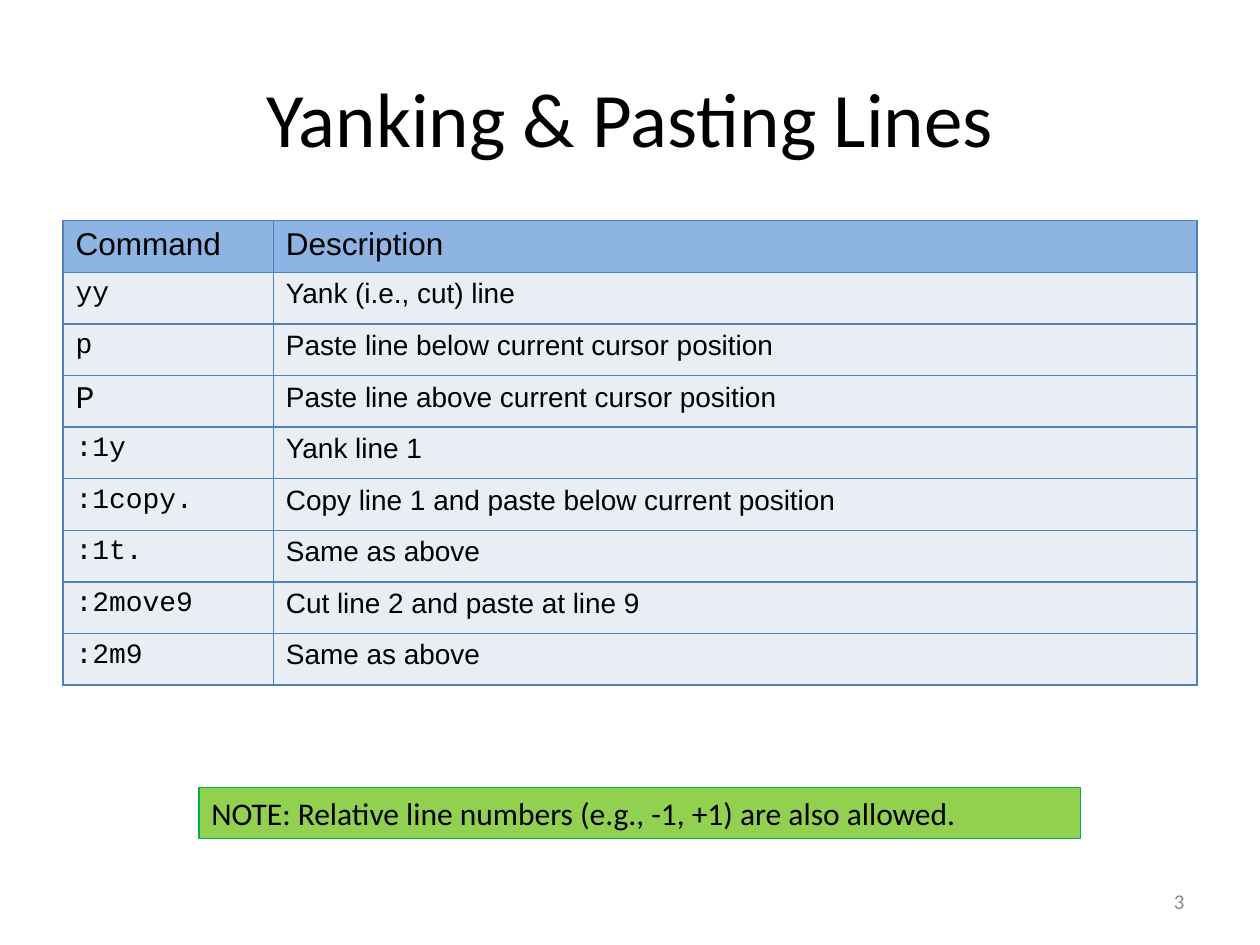
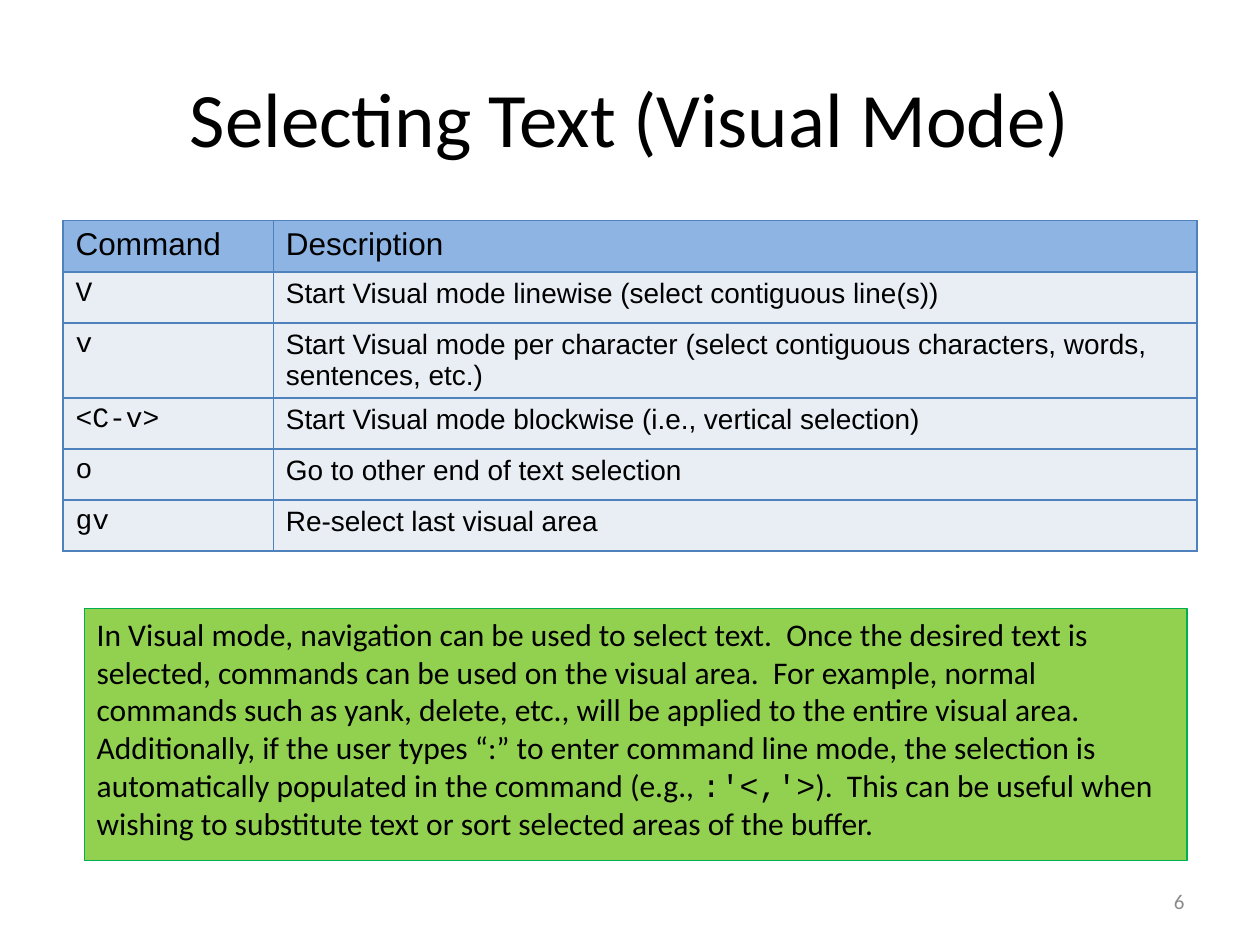
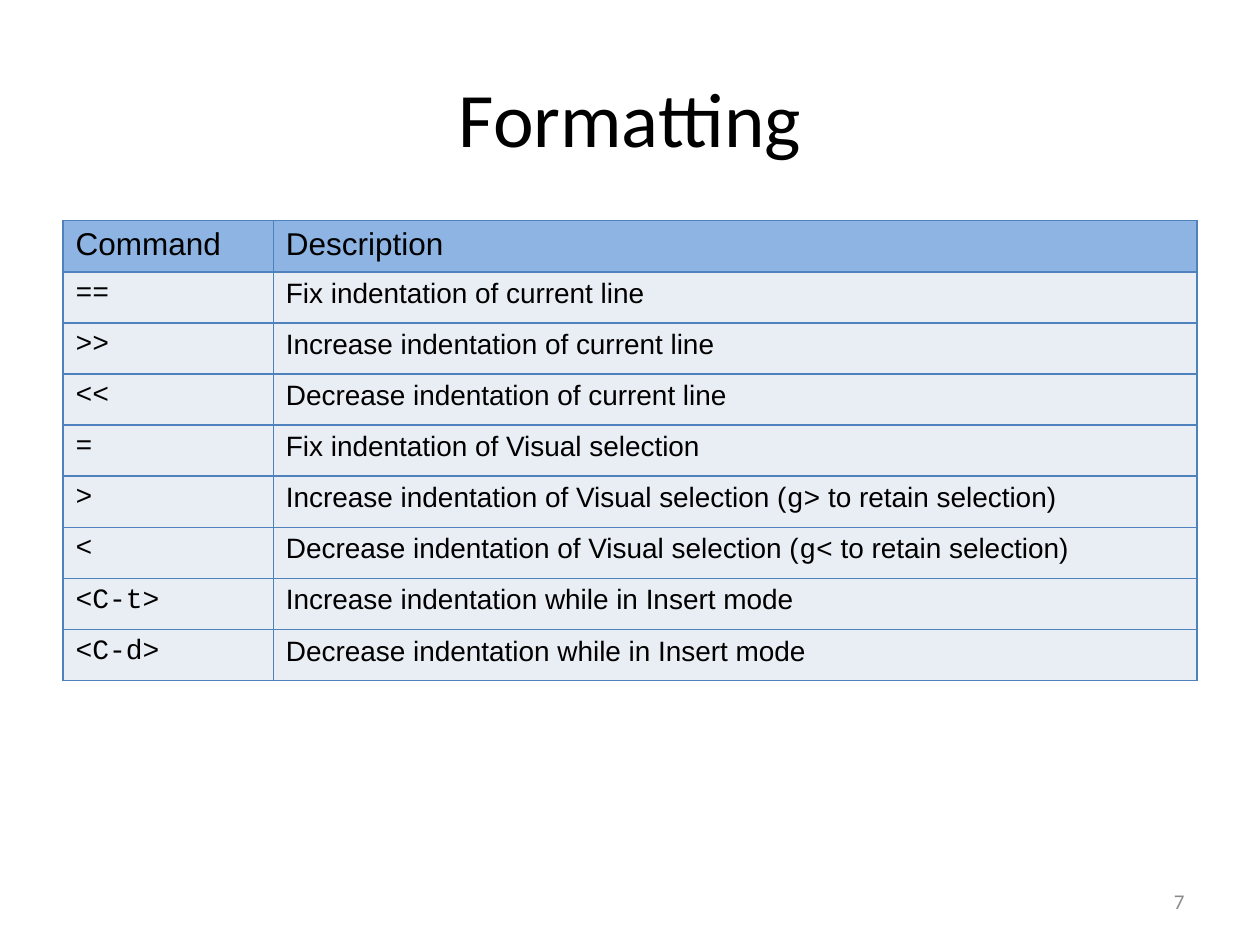
from lxml.etree import SubElement
from pptx import Presentation
from pptx.dml.color import RGBColor
from pptx.enum.shapes import MSO_SHAPE as Shape
from pptx.enum.text import MSO_ANCHOR as Anchor, PP_ALIGN as Align
from pptx.oxml.ns import qn
from pptx.util import Cm, Pt

INK, GREY, EDGE = "000000", "8B8B8B", "4F81BD"
HEAD, BODY = "8EB4E3", "E9EDF4"
LIME, GREEN = "92D050", "00B050"
SANS, TEXT, MONO = "Calibri", "Arial", "Courier New"

TITLE_BOX = (1.27, 0.76, 22.86, 3.18)
PAGE_BOX = (18.21, 17.65, 5.92, 1.02)
TABLE_AT = (1.27, 4.45)
COLS = (4.24, 18.62)

PAGES = [
    {
        "title": "Yanking & Pasting Lines",
        "page": 3,
        "step": 1.04,
        "rows": [
            ("yy", "Yank (i.e., cut) line"),
            ("p", "Paste line below current cursor position"),
            ("P", "Paste line above current cursor position", 18),
            (":1y", "Yank line 1"),
            (":1copy.", "Copy line 1 and paste below current position"),
            (":1t.", "Same as above"),
            (":2move9", "Cut line 2 and paste at line 9"),
            (":2m9", "Same as above"),
        ],
        "note": (
            (4.01, 15.88, 17.78, 1.02),
            "NOTE: Relative line numbers (e.g., -1, +1) are also allowed.",
        ),
    },
    {
        "title": "Selecting Text (Visual Mode)",
        "page": 6,
        "step": 1.03,
        "rows": [
            ("V", "Start Visual mode linewise (select contiguous line(s))"),
            ("v", "Start Visual mode per character (select contiguous "
                  "characters, words, sentences, etc.)"),
            ("<C-v>", "Start Visual mode blockwise (i.e., vertical selection)"),
            ("o", "Go to other end of text selection"),
            ("gv", "Re-select last visual area"),
        ],
        "note": (
            (1.7, 12.27, 22.23, 5.08),
            "In Visual mode, navigation can be used to select text.  Once the "
            "desired text is selected, commands can be used on the visual "
            "area.  For example, normal commands such as yank, delete, etc., "
            "will be applied to the entire visual area.  Additionally, if the "
            "user types “:” to enter command line mode, the selection is "
            "automatically populated in the command (e.g., `:'<,'>`).  This "
            "can be useful when wishing to substitute text or sort selected "
            "areas of the buffer.",
        ),
    },
    {
        "title": "Formatting",
        "page": 7,
        "step": 1.03,
        "rows": [
            ("==", "Fix indentation of current line"),
            (">>", "Increase indentation of current line"),
            ("<<", "Decrease indentation of current line"),
            ("=", "Fix indentation of Visual selection"),
            (">", "Increase indentation of Visual selection (`g>` to retain selection)"),
            ("<", "Decrease indentation of Visual selection (`g<` to retain selection)"),
            ("<C-t>", "Increase indentation while in Insert mode"),
            ("<C-d>", "Decrease indentation while in Insert mode"),
        ],
    },
]


def tint(color, shade):
    color.rgb = RGBColor.from_string(shade)


def paint(fill, shade):
    fill.solid()
    tint(fill.fore_color, shade)


def lengths(box):
    return [Cm(side) for side in box]


def write(frame, text, size, face=SANS, shade=INK, align=Align.LEFT, anchor=Anchor.TOP):
    for name, value in {"word_wrap": True, "vertical_anchor": anchor}.items():
        setattr(frame, name, value)
    para = frame.paragraphs[0]
    para.alignment = align
    for spot, part in enumerate(text.split("`")):
        if part:
            run = para.add_run()
            run.text = part
            look = {"size": Pt(size), "name": MONO if spot % 2 else face}
            for name, value in look.items():
                setattr(run.font, name, value)
            tint(run.font.color, shade)


def add_title(slide, box, text):
    title = slide.shapes.title
    for name, value in zip(("left", "top", "width", "height"), lengths(box)):
        setattr(title, name, value)
    write(title.text_frame, text, 44, align=Align.CENTER, anchor=Anchor.MIDDLE)


def add_page(slide, box, page):
    label = slide.shapes.add_textbox(*lengths(box))
    write(label.text_frame, str(page), 12, shade=GREY, align=Align.RIGHT,
          anchor=Anchor.MIDDLE)


def add_note(slide, box, text):
    note = slide.shapes.add_shape(Shape.RECTANGLE, *lengths(box))
    note.shadow.inherit = False
    paint(note.fill, LIME)
    paint(note.line.fill, GREEN)
    note.line.width = Pt(0.75)
    write(note.text_frame, text, 18)


def style_cell(cell, shade):
    props = cell._tc.get_or_add_tcPr()
    for side in ("lnL", "lnR", "lnT", "lnB"):
        line = SubElement(props, qn(f"a:{side}"), w=str(Pt(1)))
        fill = SubElement(line, qn("a:solidFill"))
        SubElement(fill, qn("a:srgbClr"), val=EDGE)
    paint(cell.fill, shade)


def add_grid(slide, spot, rows, step):
    count = len(rows) + 1
    box = (*spot, sum(COLS), step * count)
    grid = slide.shapes.add_table(count, len(COLS), *lengths(box)).table
    for name in ("first_row", "horz_banding"):
        setattr(grid, name, False)
    for col, width in zip(grid.columns, COLS):
        col.width = Cm(width)
    for row in grid.rows:
        row.height = Cm(step)
    for col, text in enumerate(("Command", "Description")):
        cell = grid.cell(0, col)
        style_cell(cell, HEAD)
        write(cell.text_frame, text, 18, TEXT)
    for row, (key, text, *size) in enumerate(rows, 1):
        parts = ((f"`{key}`", size[0] if size else 16), (text, 16))
        for col, (part, points) in enumerate(parts):
            cell = grid.cell(row, col)
            style_cell(cell, BODY)
            write(cell.text_frame, part, points, TEXT)


def add_slide(deck, data):
    slide = deck.slides.add_slide(deck.slide_layouts[5])
    add_title(slide, TITLE_BOX, data["title"])
    add_grid(slide, TABLE_AT, data["rows"], data["step"])
    add_page(slide, PAGE_BOX, data["page"])
    if "note" in data:
        add_note(slide, *data["note"])


def main():
    deck = Presentation()
    deck.slide_width, deck.slide_height = Cm(25.4), Cm(19.05)
    for data in PAGES:
        add_slide(deck, data)
    deck.save("out.pptx")


if __name__ == "__main__":
    main()
